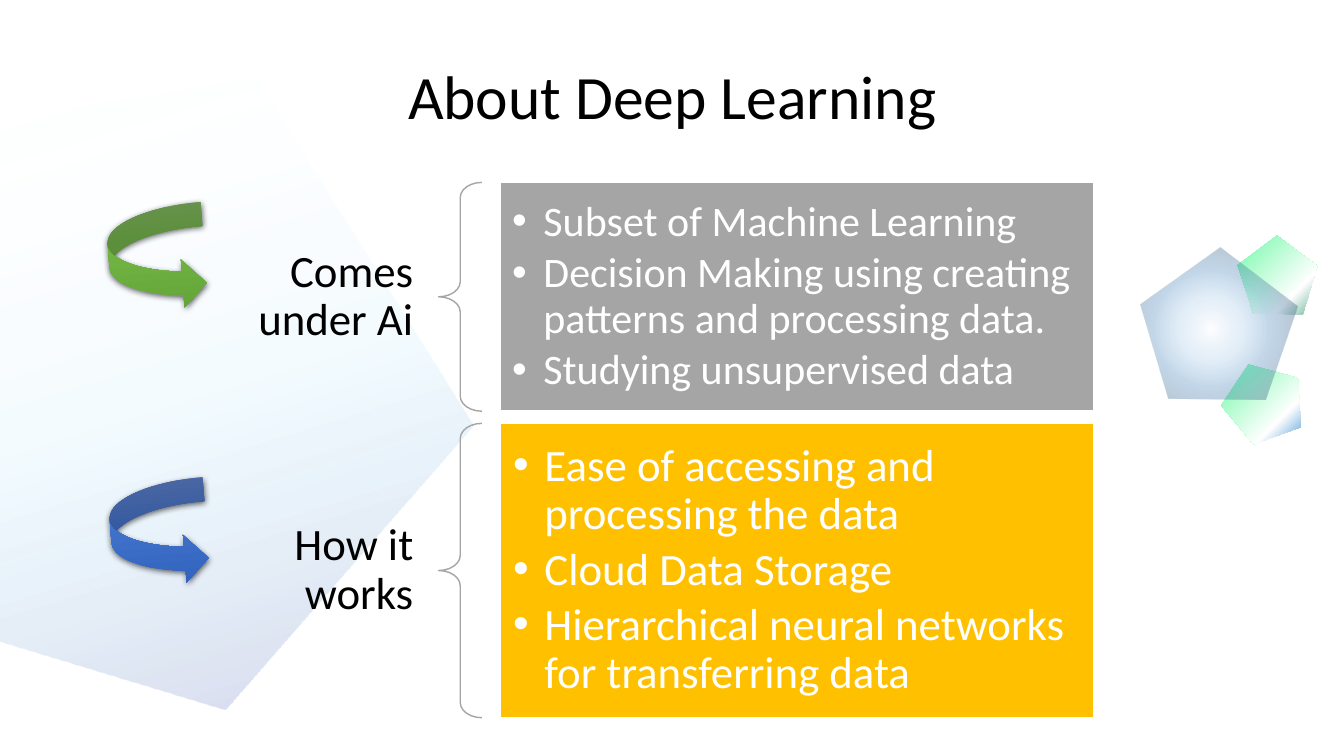
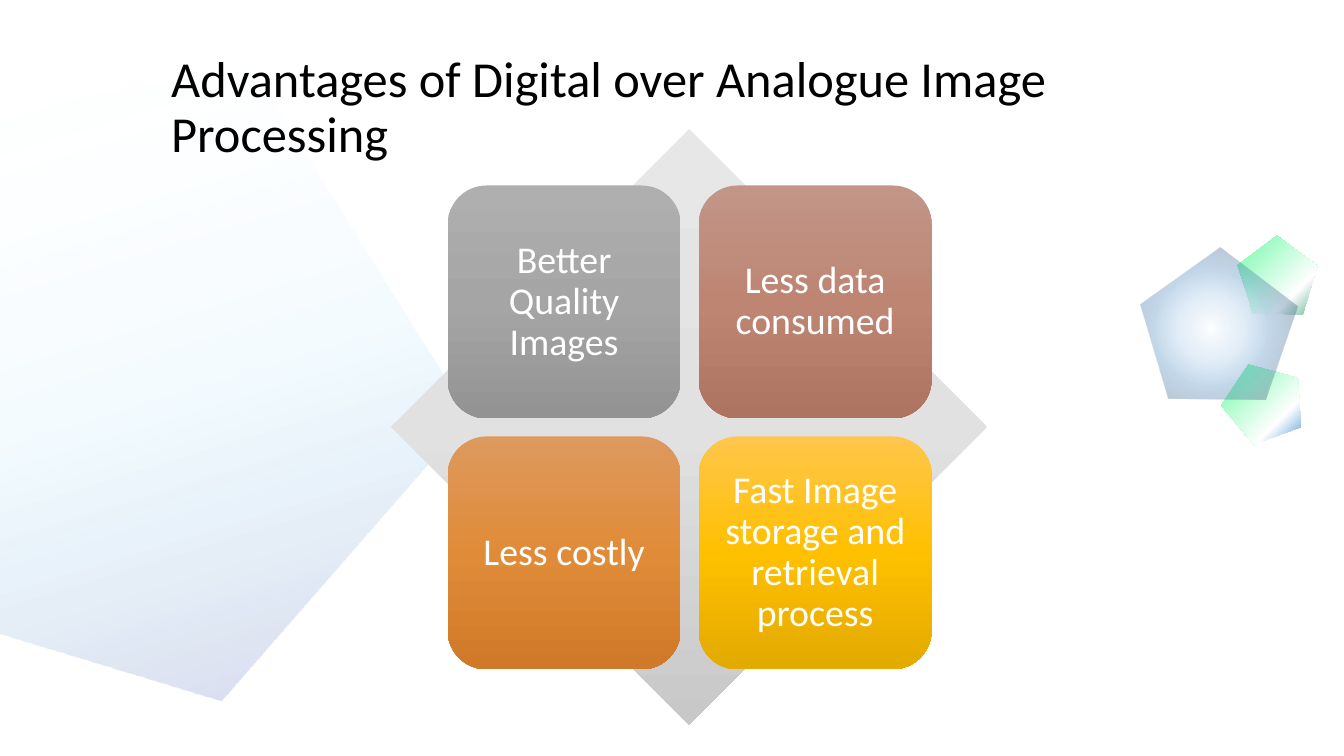
from dataclasses import dataclass

from lxml.etree import SubElement
from pptx import Presentation
from pptx.dml.color import RGBColor
from pptx.enum.shapes import MSO_SHAPE
from pptx.enum.text import MSO_ANCHOR, PP_ALIGN
from pptx.oxml.ns import qn
from pptx.util import Inches, Pt


@dataclass(frozen=True)
class Theme:
    font: str = "Calibri"
    ink: str = "000000"
    paper: str = "FFFFFF"
    gray: str = "A5A5A5"
    gold: str = "FFC000"
    backdrop: tuple = ((0, "FFFFFF", 0), (46, "00B0F0", 4), (100, "020280", 16))
    blue_gem: tuple = ((0, "0070C0"), (35, "FFFFFF"), (100, "62F89F"))
    green_gem: tuple = ((0, "008250"), (35, "FFFFFF"), (100, "62F89F"))
    big_gem: tuple = ((0, "408BCE", 0), (23, "6DA6D9", 19), (41, "2E75B6", 28), (97, "000000", 36))
    green_arrow: tuple = ((0, "81B861"), (50, "6FB242"), (100, "62A336"))
    blue_arrow: tuple = ((0, "6183CB"), (50, "3E70CA"), (100, "3062BB"))
    diamond: tuple = ((0, "E7E7E7"), (50, "E1E1E1"), (100, "C8C8C8"))
    gray_tile: tuple = ((0, "AFAFAF"), (50, "A5A5A5"), (100, "939393"))
    clay_tile: tuple = ((0, "C29687"), (50, "BE8573"), (100, "AD7462"))
    orange_tile: tuple = ((0, "DE995E"), (50, "E08B38"), (100, "D07A29"))
    gold_tile: tuple = ((0, "FFC64B"), (50, "FFC000"), (100, "E3AA00"))
    label_size: int = 32
    tile_size: int = 27


T = Theme()


def gradient(sp, stops, angle=90, focus=None):
    sp.shadow.inherit = False
    sp.line.fill.background()
    sp.fill.gradient()
    grad = sp.element.spPr.find(qn("a:gradFill"))
    for child in list(grad):
        grad.remove(child)
    grad.set("rotWithShape", "1")
    stop_list = SubElement(grad, qn("a:gsLst"))
    for position, color, *alpha in stops:
        stop = SubElement(stop_list, qn("a:gs"), pos=str(position * 1000))
        clr = SubElement(stop, qn("a:srgbClr"), val=color)
        if alpha:
            SubElement(clr, qn("a:alpha"), val=str(alpha[0] * 1000))
    if focus:
        circle = SubElement(grad, qn("a:path"), path="circle")
        sides = {side: str(share * 1000) for side, share in zip("ltrb", focus)}
        SubElement(circle, qn("a:fillToRect"), **sides)
    else:
        SubElement(grad, qn("a:lin"), ang=str(angle * 60000), scaled="0")


def write(sp, lines, size, color, align, inset=(0.1, 0.05), after=0, bullets=False):
    tf = sp.text_frame
    tf.word_wrap = True
    tf.vertical_anchor = MSO_ANCHOR.MIDDLE
    tf.margin_left = tf.margin_right = Inches(inset[0])
    tf.margin_top = tf.margin_bottom = Inches(inset[1])
    tf.text = "\n".join(lines)
    for p in tf.paragraphs:
        p.alignment = align
        p.line_spacing = 0.9
        p.space_after = Pt(size * after)
        if bullets:
            pPr = p._p.get_or_add_pPr()
            pPr.set("marL", str(Inches(0.31)))
            pPr.set("indent", str(-Inches(0.31)))
            SubElement(pPr, qn("a:buFont"), typeface="Arial")
            SubElement(pPr, qn("a:buChar"), char="•")
        for r in p.runs:
            r.font.name = T.font
            r.font.size = Pt(size)
            r.font.color.rgb = RGBColor.from_string(color)


prs = Presentation()
prs.slide_width = Inches(13.33)
prs.slide_height = Inches(7.5)

BACKDROP = [(0, 1.19), (2.55, 0.78), (4.7, 4.22), (2.24, 7.04), (0, 6.36)]
CORNER, CENTER = (100, 100, 0, 0), (50, 50, 50, 50)
GEMS = [
    (12.12, 3.67, 0.82, 0.75, 195.1, T.blue_gem, CORNER),
    (12.3, 2.38, 0.82, 0.75, 71.9, T.green_gem, CORNER),
    (11.22, 2.52, 1.58, 1.48, 289, T.big_gem, CENTER),
]
PAGES = [
    ("About Deep Learning", 44, PP_ALIGN.CENTER, (0.92, 0.26, 11.5, 1.45), (0, 0)),
    ("Advantages of Digital over Analogue Image Processing", 36, PP_ALIGN.LEFT,
     (1.6, 0.44, 10.44, 1.28), (-0.04, -0.09)),
]

for title, size, align, box, (dx, dy) in PAGES:
    s = prs.slides.add_slide(prs.slide_layouts[6])
    points = [(Inches(x + dx), Inches(y + dy)) for x, y in BACKDROP]
    outline = s.shapes.build_freeform(*points[0])
    outline.add_line_segments(points[1:], close=True)
    gradient(outline.convert_to_shape(), T.backdrop, angle=73)
    for x, y, w, h, turn, stops, focus in GEMS:
        sp = s.shapes.add_shape(MSO_SHAPE.REGULAR_PENTAGON, Inches(x), Inches(y), Inches(w), Inches(h))
        sp.rotation = turn
        gradient(sp, stops, focus=focus)
        if focus == CENTER:
            sp.element.spPr.find(qn("a:xfrm")).set("flipH", "1")
    sp = s.shapes.add_textbox(*map(Inches, box))
    write(sp, [title], size, T.ink, align)

about, advantages = prs.slides

TOPICS = [
    ("Comes under Ai", 1.81, 2.27, T.gray, 30, 0.12,
     ["Subset of Machine Learning",
      "Decision Making using creating patterns and processing data.",
      "Studying unsupervised data"]),
    ("How it works", 4.2, 2.92, T.gold, 32, 0.13,
     ["Ease of accessing and processing the data",
      "Cloud Data Storage",
      "Hierarchical neural networks for transferring data"]),
]
LABEL_H = 1.17
for label, top, height, color, size, inset, points in TOPICS:
    sp = about.shapes.add_textbox(
        Inches(2.19), Inches(top + (height - LABEL_H) / 2), Inches(2.16), Inches(LABEL_H))
    write(sp, [label], T.label_size, T.ink, PP_ALIGN.RIGHT, (0.25, 0.09))

    brace = about.shapes.add_shape(
        MSO_SHAPE.LEFT_BRACE, Inches(4.35), Inches(top), Inches(0.43), Inches(height))
    brace.shadow.inherit = False
    brace.adjustments[0] = 0.35
    brace.fill.background()
    brace.line.color.rgb = RGBColor.from_string(T.gray)
    brace.line.width = Pt(1)

    panel = about.shapes.add_shape(
        MSO_SHAPE.RECTANGLE, Inches(4.96), Inches(top), Inches(5.89), Inches(height))
    panel.shadow.inherit = False
    panel.fill.solid()
    panel.fill.fore_color.rgb = RGBColor.from_string(color)
    panel.line.color.rgb = RGBColor.from_string(T.paper)
    panel.line.width = Pt(1)
    write(panel, points, size, T.paper, PP_ALIGN.LEFT, (inset, inset), 0.15, bullets=True)

for x, y, stops in [(1.08, 2.04, T.green_arrow), (1.1, 4.77, T.blue_arrow)]:
    arrow = about.shapes.add_shape(
        MSO_SHAPE.CURVED_RIGHT_ARROW, Inches(x), Inches(y), Inches(0.95), Inches(1.04))
    arrow.rotation = 355.6
    gradient(arrow, stops)
    shadow = SubElement(
        arrow.element.spPr.find(qn("a:effectLst")), qn("a:outerShdw"),
        blurRad=str(Pt(4.5)), dist=str(Pt(1.5)), dir="5400000", algn="ctr", rotWithShape="0")
    clr = SubElement(shadow, qn("a:srgbClr"), val=T.ink)
    SubElement(clr, qn("a:alpha"), val="63000")

sp = advantages.shapes.add_shape(
    MSO_SHAPE.DIAMOND, Inches(3.88), Inches(1.28), Inches(5.91), Inches(5.91))
gradient(sp, T.diamond)

TILES = [
    ("Better Quality Images", T.gray_tile),
    ("Less data consumed", T.clay_tile),
    ("Less costly", T.orange_tile),
    ("Fast Image storage and retrieval process", T.gold_tile),
]
TILE, PITCH = 2.31, 2.49
for i, (text, stops) in enumerate(TILES):
    row, col = divmod(i, 2)
    tile = advantages.shapes.add_shape(
        MSO_SHAPE.ROUNDED_RECTANGLE, Inches(4.44 + col * PITCH), Inches(1.84 + row * PITCH),
        Inches(TILE), Inches(TILE))
    gradient(tile, stops)
    write(tile, [text], T.tile_size, T.paper, PP_ALIGN.CENTER, (0.11, 0.11))

prs.save("out.pptx")
